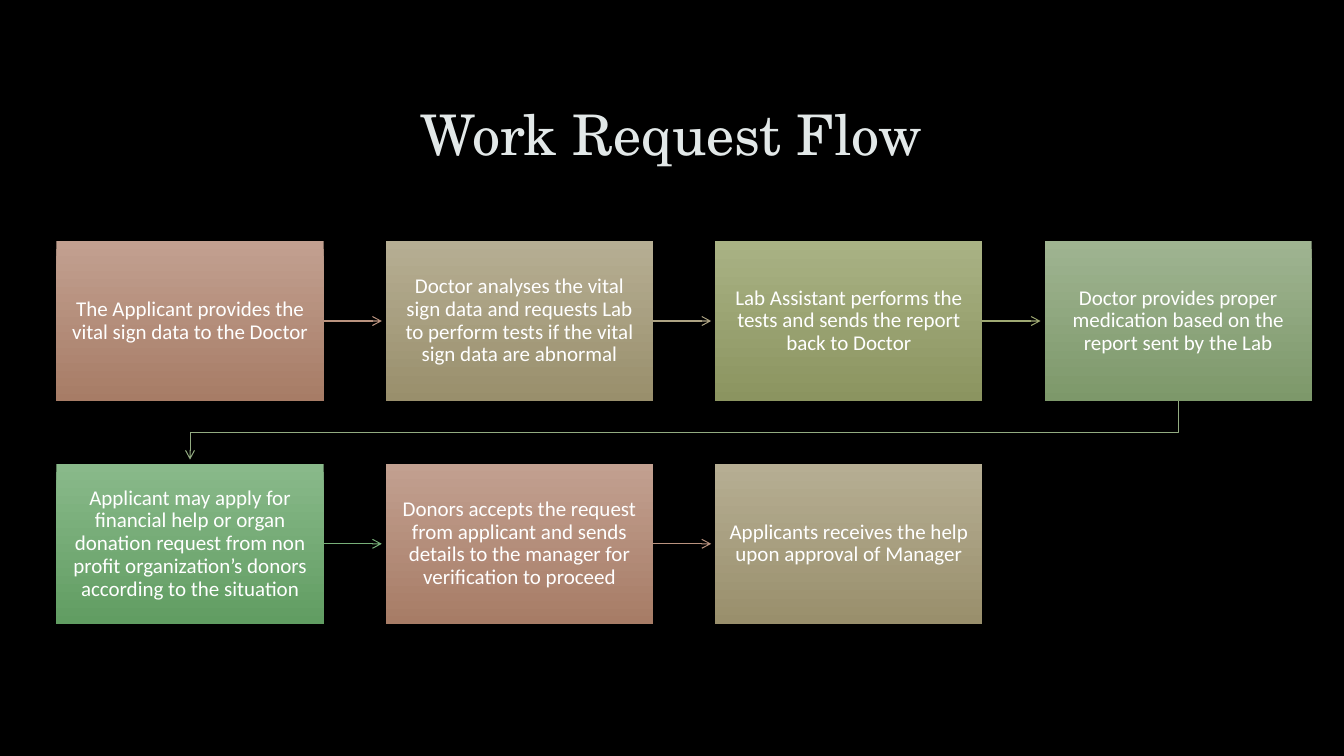
from lxml.etree import SubElement
from pptx import Presentation
from pptx.dml.color import RGBColor
from pptx.enum.shapes import MSO_CONNECTOR as Connector, MSO_SHAPE as Preset
from pptx.enum.text import MSO_ANCHOR as Anchor, PP_ALIGN as Align
from pptx.oxml.ns import qn
from pptx.util import Inches, Pt

COLORS = {
    "background": "000000",
    "title": "E2E8E8",
    "text": "FFFFFF",
}
TONES = {
    "clay": {"top": "C2A090", "bottom": "A77C66", "arrow": "BA937F"},
    "sand": {"top": "B6AE93", "bottom": "998F6C", "arrow": "ADA383"},
    "olive": {"top": "A9B284", "bottom": "8B9460", "arrow": "9FA973"},
    "sage": {"top": "9FB491", "bottom": "7D986A", "arrow": "92AB81"},
    "green": {"top": "89B98A", "bottom": "619D62", "arrow": "78B079"},
}
STEPS = [
    ("clay", "The Applicant provides the vital sign data to the Doctor"),
    ("sand", "Doctor analyses the vital sign data and requests Lab to perform "
             "tests if the vital sign data are abnormal"),
    ("olive", "Lab Assistant performs the tests and sends the report back to Doctor"),
    ("sage", "Doctor provides proper medication based on the report sent by the Lab"),
    ("green", "Applicant may apply for financial help or organ donation request from "
              "non profit organization’s donors according to the situation"),
    ("clay", "Donors accepts the request from applicant and sends details to the "
             "manager for verification to proceed"),
    ("sand", "Applicants receives the help upon approval of Manager"),
]
COLUMNS = 4
LEFT, TOP = Inches(0.56), Inches(2.39)
BOX_WIDTH, BOX_HEIGHT = Inches(2.65), Inches(1.59)
COLUMN_STEP = Inches(9.8) // (COLUMNS - 1)
ROW_STEP = Inches(2.21)
ARROW_GAP = Inches(0.04)


def color(value):
    """Return the colour object of a hex string."""
    return RGBColor.from_string(value)


def format_paragraph(paragraph, font_name, size, value):
    """Centre a paragraph and set its font."""
    paragraph.alignment = Align.CENTER
    paragraph.line_spacing = 0.9
    for run in paragraph.runs:
        run.font.name = font_name
        run.font.size = Pt(size)
        run.font.color.rgb = color(value)


def add_title(slide, text):
    """Place and format the slide title."""
    title = slide.shapes.title
    title.left, title.top = Inches(1), Inches(0.67)
    title.width, title.height = Inches(11.32), Inches(1.38)
    title.text_frame.text = text
    title.text_frame.vertical_anchor = Anchor.MIDDLE
    format_paragraph(title.text_frame.paragraphs[0], "TeX Gyre Schola", 40, COLORS["title"])


def add_step(slide, index, tone, text):
    """Add one gradient box at its place in the grid."""
    row, column = divmod(index, COLUMNS)
    shape = slide.shapes.add_shape(
        Preset.RECTANGLE, LEFT + column * COLUMN_STEP, TOP + row * ROW_STEP,
        BOX_WIDTH, BOX_HEIGHT)
    shape.shadow.inherit = False
    shape.line.fill.background()
    shape.fill.gradient()
    shape.fill.gradient_angle = 270
    for stop, position, end in zip(shape.fill.gradient_stops, (0, 1), ("top", "bottom")):
        stop.position = position
        stop.color.rgb = color(TONES[tone][end])
    frame = shape.text_frame
    frame.word_wrap = True
    frame.vertical_anchor = Anchor.MIDDLE
    frame.margin_left = frame.margin_right = Inches(0.13)
    frame.margin_top = frame.margin_bottom = Inches(0.14)
    frame.text = text
    format_paragraph(frame.paragraphs[0], "Calibri", 15, COLORS["text"])
    return shape


def style_arrow(arrow, tone):
    """Give a line its colour, width and open arrowhead."""
    arrow.line.color.rgb = color(TONES[tone]["arrow"])
    arrow.line.width = Pt(0.75)
    SubElement(arrow.line._get_or_add_ln(), qn("a:tailEnd"), type="arrow")


def add_straight_arrow(slide, source, target, tone):
    """Link two neighbouring boxes of a row."""
    middle = source.top + source.height // 2
    arrow = slide.shapes.add_connector(
        Connector.STRAIGHT, source.left + source.width, middle,
        target.left - ARROW_GAP, middle)
    arrow.begin_connect(source, 3)
    style_arrow(arrow, tone)
    SubElement(arrow._element.spPr, qn("a:effectLst"))


def add_return_arrow(slide, source, target, tone):
    """Link the end of a row to the start of the next one."""
    start_x = source.left + source.width // 2
    end_x = target.left + target.width // 2
    bottom = source.top + source.height
    middle = (bottom + target.top) // 2
    builder = slide.shapes.build_freeform(start_x, bottom)
    builder.add_line_segments(
        [(start_x, middle), (end_x, middle), (end_x, target.top - ARROW_GAP)], close=False)
    arrow = builder.convert_to_shape()
    arrow.fill.background()
    arrow.shadow.inherit = False
    style_arrow(arrow, tone)


def main():
    """Build the work request flow slide."""
    presentation = Presentation()
    presentation.slide_width, presentation.slide_height = Inches(13.33), Inches(7.5)
    slide = presentation.slides.add_slide(presentation.slide_layouts[5])
    slide.background.fill.solid()
    slide.background.fill.fore_color.rgb = color(COLORS["background"])
    add_title(slide, "Work Request Flow")
    boxes = [add_step(slide, index, tone, text) for index, (tone, text) in enumerate(STEPS)]
    for source, target, (tone, _) in zip(boxes, boxes[1:], STEPS):
        add_arrow = add_straight_arrow if source.top == target.top else add_return_arrow
        add_arrow(slide, source, target, tone)
    presentation.save("out.pptx")


if __name__ == "__main__":
    main()
